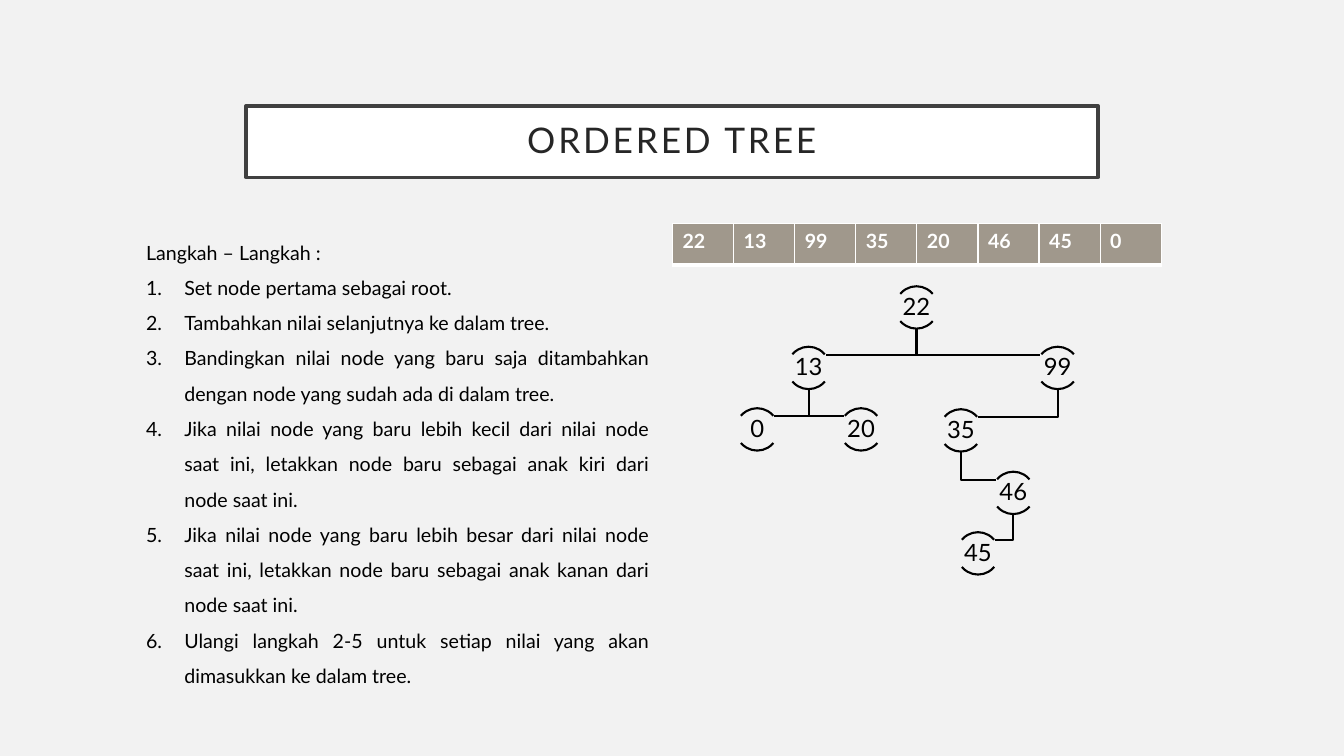
import pptx
import pptx.util
import pptx.dml.color
import pptx.enum.shapes
import pptx.enum.text
import pptx.oxml
import pptx.oxml.ns

Inches, Pt = pptx.util.Inches, pptx.util.Pt
ALIGN = pptx.enum.text.PP_ALIGN
MIDDLE = pptx.enum.text.MSO_ANCHOR.MIDDLE
AUTO_SIZE = pptx.enum.text.MSO_AUTO_SIZE
ARC = pptx.enum.shapes.MSO_SHAPE.ARC

TITLE = "ORDERED TREE"
HEADING = "Langkah – Langkah :"
STEPS = [
    "Set node pertama sebagai root.",
    "Tambahkan nilai selanjutnya ke dalam tree.",
    "Bandingkan nilai node yang baru saja ditambahkan dengan node yang sudah ada di dalam tree.",
    "Jika nilai node yang baru lebih kecil dari nilai node saat ini, "
    "letakkan node baru sebagai anak kiri dari node saat ini.",
    "Jika nilai node yang baru lebih besar dari nilai node saat ini, "
    "letakkan node baru sebagai anak kanan dari node saat ini.",
    "Ulangi langkah 2-5 untuk setiap nilai yang akan dimasukkan ke dalam tree.",
]
VALUES = [22, 13, 99, 35, 20, 46, 45, 0]
# value: (centre x, top, parent value)
NODES = {
    22: (9.09, 2.84, None),
    13: (8.02, 3.44, 22),
    0: (7.51, 4.05, 13),
    20: (8.54, 4.05, 13),
    99: (10.49, 3.44, 22),
    35: (9.53, 4.06, 99),
    46: (10.05, 4.68, 35),
    45: (9.7, 5.28, 46),
}
DIAMETER = 0.42
ARC_ANGLES = [(132, 192), (24, 84)]  # top and bottom, in units of 100000/60000 degrees
JOIN_X, JOIN_Y = 0.17, 0.08  # where an edge meets the top arc of a child
LABEL_W, LABEL_H = 0.85, 0.27
BLACK, WHITE = "000000", "FFFFFF"


def rgb(value):
    """Turn a hex string into a colour."""
    return pptx.dml.color.RGBColor.from_string(value)


def add_run(p, text, size, color=BLACK, bold=False):
    """Add a formatted run to a paragraph."""
    r = p.add_run()
    r.text = text
    r.font.name, r.font.size, r.font.bold = "Lato", Pt(size), bold
    r.font.color.rgb = rgb(color)
    return r


def set_insets(tf, inset):
    """Give all four sides of a text frame the same inset."""
    tf.margin_left = tf.margin_right = tf.margin_top = tf.margin_bottom = Inches(inset)


def outline(sp):
    """Leave a shape unfilled with a thin black line."""
    sp.shadow.inherit = False
    sp.fill.background()
    sp.line.color.rgb = rgb(BLACK)
    sp.line.width = Pt(1.5)


def add_title(s):
    """Format the title placeholder as a framed box."""
    sp = s.shapes.title
    sp.left, sp.top, sp.width, sp.height = map(Inches, (2.44, 1.05, 8.45, 0.71))
    sp.fill.solid()
    sp.fill.fore_color.rgb = rgb(WHITE)
    sp.line.color.rgb = rgb("404040")
    sp.line.width = Pt(2.5)
    tf = sp.text_frame
    tf.auto_size, tf.vertical_anchor = AUTO_SIZE.NONE, MIDDLE
    set_insets(tf, 0.2)
    p = tf.paragraphs[0]
    p.alignment, p.line_spacing = ALIGN.CENTER, 0.9
    r = add_run(p, TITLE, 25.2, "262626")
    r.font._element.set("spc", "200")


def add_steps(s):
    """Write the heading and the numbered steps."""
    tf = s.shapes.add_textbox(*map(Inches, (1.35, 2.22, 5.19, 3.95))).text_frame
    tf.word_wrap, tf.auto_size = True, AUTO_SIZE.SHAPE_TO_FIT_TEXT
    for i, text in enumerate([HEADING] + STEPS):
        p = tf.add_paragraph() if i else tf.paragraphs[0]
        p.alignment, p.line_spacing = ALIGN.JUSTIFY, 1.5
        if i:
            pPr = p._p.get_or_add_pPr()
            pPr.set("marL", str(Inches(0.38)))
            pPr.set("indent", str(-Inches(0.38)))
            number = pptx.oxml.ns.qn("a:buAutoNum")
            pPr.append(pPr.makeelement(number, {"type": "arabicPeriod"}))
        add_run(p, text, 14)


def add_edge(tree, parent, child):
    """Draw the elbow from the bottom of a parent to the side of a child."""
    x, top = parent
    child_x, child_top = child
    y = child_top + JOIN_Y
    end_x = child_x + (JOIN_X if child_x < x else -JOIN_X)
    pen = tree.shapes.build_freeform(Inches(x), Inches(top + DIAMETER))
    pen.add_line_segments([(Inches(x), Inches(y)), (Inches(end_x), Inches(y))], close=False)
    outline(pen.convert_to_shape())


def add_node(tree, value, x, top):
    """Draw two arcs with the value between them."""
    for angles in ARC_ANGLES:
        sp = tree.shapes.add_shape(
            ARC, Inches(x - DIAMETER / 2), Inches(top), Inches(DIAMETER), Inches(DIAMETER))
        sp.adjustments[0], sp.adjustments[1] = angles
        outline(sp)
    label_top = top + (DIAMETER - LABEL_H) / 2
    tf = tree.shapes.add_textbox(
        Inches(x - LABEL_W / 2), Inches(label_top), Inches(LABEL_W), Inches(LABEL_H)).text_frame
    tf.word_wrap, tf.vertical_anchor = True, MIDDLE
    set_insets(tf, 0.01)
    p = tf.paragraphs[0]
    p.alignment, p.line_spacing = ALIGN.CENTER, 0.9
    add_run(p, str(value), 17)


def add_tree(s):
    """Group the edges and, in front of them, the nodes."""
    tree = s.shapes.add_group_shape()
    for x, top, parent in NODES.values():
        if parent is not None:
            add_edge(tree, NODES[parent][:2], (x, top))
    for value, (x, top, _) in NODES.items():
        add_node(tree, value, x, top)


def add_border(cell, side, width):
    """Add a white border to one side of a cell."""
    cell._tc.get_or_add_tcPr().append(pptx.oxml.parse_xml(
        f'<a:ln{side} {pptx.oxml.ns.nsdecls("a")} w="{Pt(width)}"><a:solidFill>'
        f'<a:srgbClr val="{WHITE}"/></a:solidFill></a:ln{side}>'))


def add_values(s):
    """List the values to insert in a one-row table."""
    table = s.shapes.add_table(
        1, len(VALUES), *map(Inches, (6.67, 2.22, 4.85, 0.41))).table
    for cell, value in zip(table.rows[0].cells, VALUES):
        for side, width in (("L", 1), ("R", 1), ("T", 1), ("B", 3)):
            add_border(cell, side, width)
        cell.fill.solid()
        cell.fill.fore_color.rgb = rgb("A0988C")
        add_run(cell.text_frame.paragraphs[0], str(value), 14, WHITE, True)


prs = pptx.Presentation()
prs.slide_width, prs.slide_height = Inches(13.33), Inches(7.5)
s = prs.slides.add_slide(prs.slide_layouts[5])
s.background.fill.solid()
s.background.fill.fore_color.rgb = rgb("F2F2F2")
add_title(s)
add_steps(s)
add_tree(s)
add_values(s)
prs.save("out.pptx")
